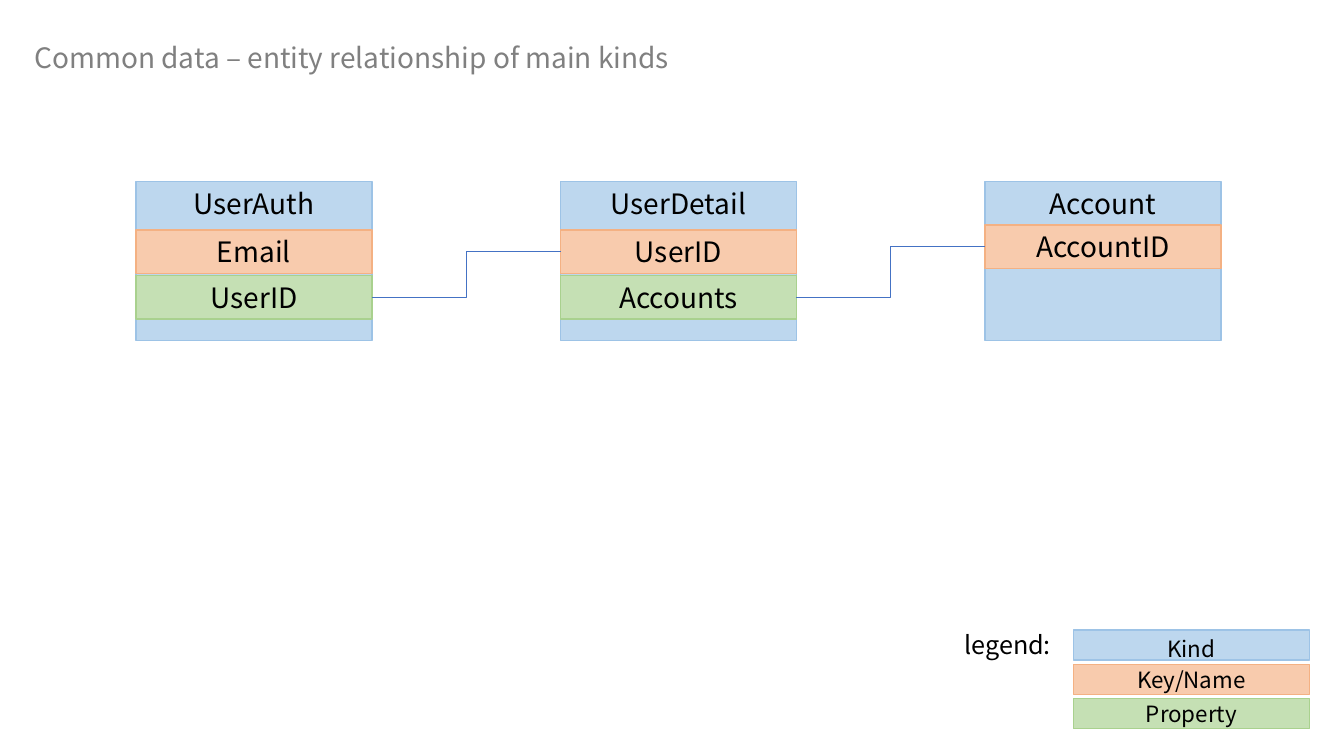
"""Entity relationship slide with three kinds and a colour legend."""
from lxml.etree import SubElement
from pptx import Presentation
from pptx.dml.color import RGBColor
from pptx.enum.shapes import MSO_CONNECTOR, MSO_SHAPE
from pptx.enum.text import MSO_ANCHOR, PP_ALIGN
from pptx.oxml.ns import qn
from pptx.util import Pt

BLACK = RGBColor(0x00, 0x00, 0x00)
GRAY = RGBColor(0x80, 0x80, 0x80)
LINK_BLUE = RGBColor(0x44, 0x72, 0xC4)
STYLES = {
    "kind": (RGBColor(0xBD, 0xD7, 0xEE), RGBColor(0x9D, 0xC3, 0xE6), MSO_ANCHOR.TOP),
    "key": (RGBColor(0xF8, 0xCB, 0xAD), RGBColor(0xF4, 0xB1, 0x83), MSO_ANCHOR.MIDDLE),
    "property": (RGBColor(0xC5, 0xE0, 0xB4), RGBColor(0xA9, 0xD1, 0x8E), MSO_ANCHOR.MIDDLE),
}
FONT_NAME = "Noto Sans CJK JP"
BOX_WIDTH = 168.5

presentation = Presentation()
presentation.slide_width = Pt(960)
presentation.slide_height = Pt(540)
slide = presentation.slides.add_slide(presentation.slide_layouts[6])


def write_text(shape, text, size, color, alignment, anchor):
    frame = shape.text_frame
    frame.word_wrap = True
    frame.vertical_anchor = anchor
    paragraph = frame.paragraphs[0]
    paragraph.alignment = alignment
    run = paragraph.add_run()
    run.text = text
    for name, value in {"name": FONT_NAME, "size": Pt(size)}.items():
        setattr(run.font, name, value)
    run.font.color.rgb = color
    east_asian = SubElement(run.font._element, qn("a:ea"))
    east_asian.set("typeface", FONT_NAME)


def add_box(text, style, left, top, height, size):
    fill, line, anchor = STYLES[style]
    shape = slide.shapes.add_shape(
        MSO_SHAPE.RECTANGLE, Pt(left), Pt(top), Pt(BOX_WIDTH), Pt(height))
    shape.shadow.inherit = False
    shape.fill.solid()
    shape.fill.fore_color.rgb = fill
    shape.line.color.rgb = line
    shape.line.width = Pt(1)
    write_text(shape, text, size, BLACK, PP_ALIGN.CENTER, anchor)
    return shape


title = slide.shapes.add_textbox(Pt(24.5), Pt(26.6), Pt(805.7), Pt(28))
title.text_frame.margin_left = title.text_frame.margin_right = 0
write_text(title, "Common data – entity relationship of main kinds", 20, GRAY,
           PP_ALIGN.LEFT, MSO_ANCHOR.MIDDLE)

entities = [
    ("UserAuth", [("Email", "key", 164.3), ("UserID", "property", 196.8)]),
    ("UserDetail", [("UserID", "key", 164.3), ("Accounts", "property", 196.8)]),
    ("Account", [("AccountID", "key", 160.7)]),
]
entity_fields = []
for column, (kind, fields) in enumerate(entities):
    left = 97.2 + column * 303.2
    add_box(kind, "kind", left, 129.6, 113.8, 20)
    entity_fields.append([add_box(name, style, left, top, 31, 20)
                          for name, style, top in fields])

for source, target in zip(entity_fields, entity_fields[1:]):
    connector = slide.shapes.add_connector(MSO_CONNECTOR.ELBOW, 0, 0, 0, 0)
    connector.begin_connect(source[-1], 3)
    connector.end_connect(target[0], 1)
    connector.line.color.rgb = LINK_BLUE
    connector.line.width = Pt(0.5)
    SubElement(connector._element.spPr, qn("a:effectLst"))

legend = slide.shapes.add_textbox(Pt(681.8), Pt(445.7), Pt(118), Pt(29))
write_text(legend, "legend:", 18, BLACK, PP_ALIGN.LEFT, MSO_ANCHOR.TOP)
legend_entries = [("Kind", "kind"), ("Key/Name", "key"), ("Property", "property")]
for row, (label, style) in enumerate(legend_entries):
    add_box(label, style, 766.8, 450 + row * 24.5, 21.6, 16)

presentation.save("out.pptx")
